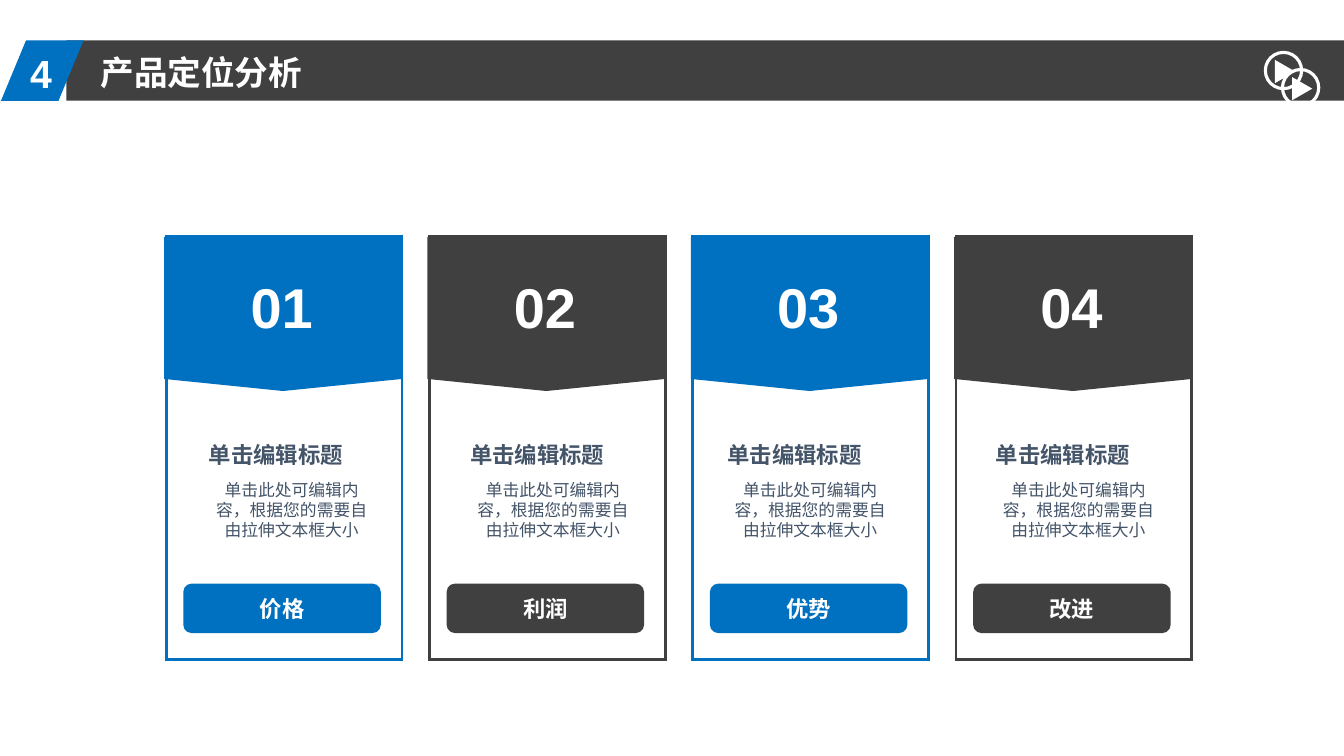
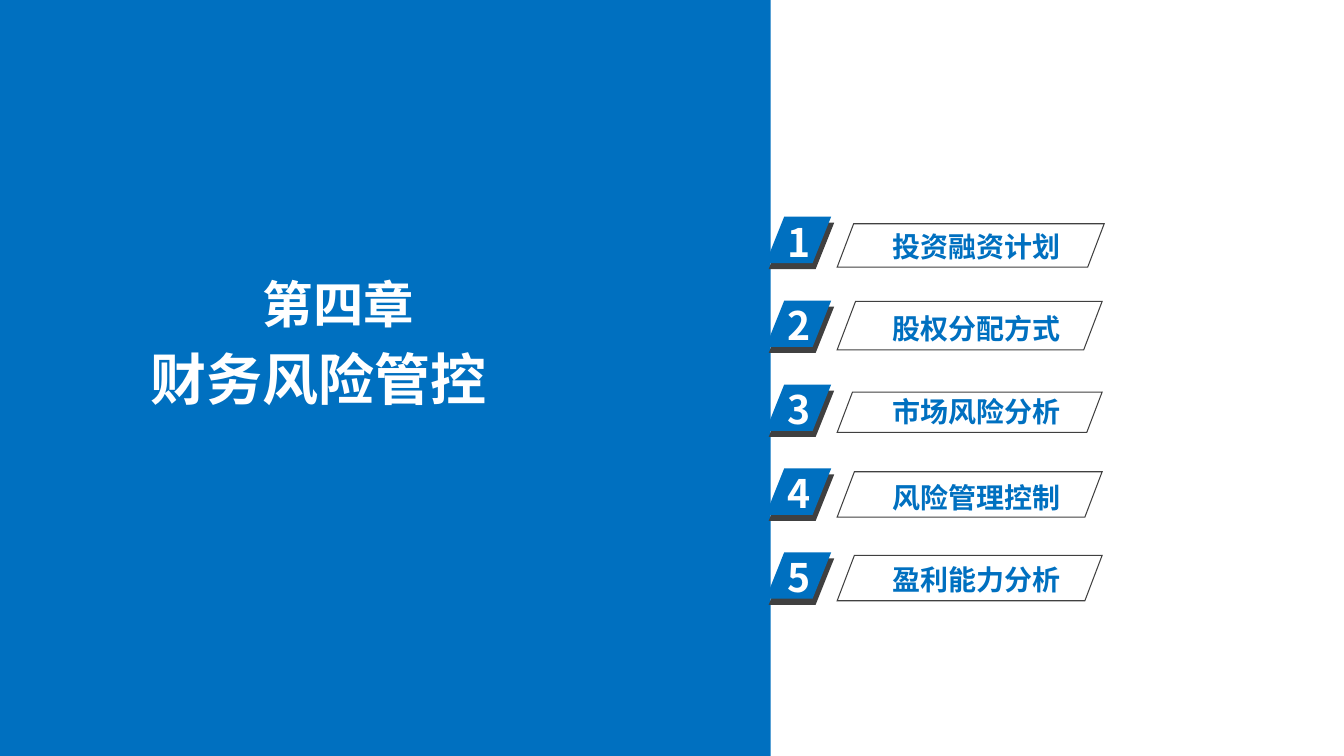
from lxml.etree import SubElement
from pptx import Presentation
from pptx.dml.color import RGBColor
from pptx.enum.shapes import MSO_SHAPE as Preset
from pptx.enum.text import MSO_ANCHOR as Anchor, PP_ALIGN as Align
from pptx.oxml.ns import qn
from pptx.util import Inches, Pt

PAGE_WIDTH, PAGE_HEIGHT = 13.34, 7.5
BLUE, DARK, SLATE, WHITE = "0070C0", "404040", "445469", "FFFFFF"
LATIN, CHINESE = "Arial", "Noto Sans CJK SC"

# number, button, caption offset from the card's left edge
CARDS = [
    ("01", "价格", -0.19),
    ("02", "利润", -0.21),
    ("03", "优势", -0.27),
    ("04", "改进", -0.22),
]
CARD_PITCH = 7.84 / (len(CARDS) - 1)
CARD_TITLE = "单击编辑标题"
CARD_BODY = "单击此处可编辑内容，根据您的需要自由拉伸文本框大小"

# label, its top from the first row, then the frame's top, width and height
AGENDA = [
    ("投资融资计划", 0.07, 0.07, 2.65, 0.43),
    ("股权分配方式", 0.89, 0.84, 2.63, 0.48),
    ("市场风险分析", 1.71, 1.74, 2.63, 0.4),
    ("风险管理控制", 2.56, 2.53, 2.63, 0.45),
    ("盈利能力分析", 3.38, 3.36, 2.63, 0.45),
]
AGENDA_PITCH = 3.33 / (len(AGENDA) - 1)


def color(hex_code):
    return RGBColor.from_string(hex_code)


def paint(shape, fill=None, line=None, line_width=1):
    shape.shadow.inherit = False
    if fill:
        shape.fill.solid()
        shape.fill.fore_color.rgb = color(fill)
    else:
        shape.fill.background()
    if line:
        shape.line.color.rgb = color(line)
        shape.line.width = Pt(line_width)
        SubElement(shape.line._get_or_add_ln(), qn("a:miter"), lim="800000")
    else:
        shape.line.fill.background()
    return shape


def add_preset(page, preset, box, fill=None, line=None, line_width=1, adjust=None):
    shape = page.shapes.add_shape(preset, *map(Inches, box))
    if adjust is not None:
        shape.adjustments[0] = adjust
    return paint(shape, fill, line, line_width)


def write(shape, text, size, hex_code=WHITE, font=CHINESE, bold=True,
          align=Align.LEFT, inset=(0.1, 0.05), spacing=None):
    """Put one paragraph, vertically centred, into a shape or text box."""
    frame = shape.text_frame
    frame.word_wrap = True
    frame.vertical_anchor = Anchor.MIDDLE
    frame.margin_left = frame.margin_right = Inches(inset[0])
    frame.margin_top = frame.margin_bottom = Inches(inset[1])
    para = frame.paragraphs[0]
    para.text = text
    para.alignment = align
    para._p.get_or_add_pPr().set("hangingPunct", "0")
    if spacing:
        para.line_spacing = Pt(spacing)
    para.font.size = Pt(size)
    para.font.bold = bold
    para.font.color.rgb = color(hex_code)
    para.font.name = font
    SubElement(para.font._rPr, qn("a:ea"), typeface=CHINESE)


def add_text(page, box, text, size, **style):
    write(page.shapes.add_textbox(*map(Inches, box)), text, size, **style)


def add_play_icon(page, left, top):
    add_preset(page, Preset.OVAL, (left, top, 0.36, 0.36), line=WHITE, line_width=2.25)
    arrow = add_preset(page, Preset.ISOSCELES_TRIANGLE,
                       (left + 0.08, top + 0.09, 0.23, 0.2), WHITE)
    arrow.rotation = 90


def add_header(page, number, title, top=0.4, height=0.6):
    band_left = 0.66
    add_preset(page, Preset.RECTANGLE,
               (band_left, top, PAGE_WIDTH - band_left, height), DARK)
    add_preset(page, Preset.PARALLELOGRAM, (0.01, top, 0.82, height), BLUE, adjust=0.415)
    add_text(page, (0.2, top + 0.04, 0.69, 0.57), number, 28, font=LATIN)
    add_text(page, (0.9, top + 0.07, 2.74, 0.5), title, 24)
    for step in (0, 0.17):
        add_play_icon(page, 12.56 + step, top + 0.12 + step)


def add_banner(page, left, top, width, fill):
    """Draw the card's head, whose lower edge points down."""
    side, tip = top + 1.41, top + 1.53
    outline = [(left + width, top), (left + width, side), (left + width / 2, tip),
               (left, side), (left, top)]
    first, *rest = [(Inches(x), Inches(y)) for x, y in outline]
    builder = page.shapes.build_freeform(*first)
    builder.add_line_segments(rest, close=True)
    paint(builder.convert_to_shape(), fill)


def add_card(page, left, top, accent, number, button_text, caption_offset):
    centred = {"font": LATIN, "align": Align.CENTER}
    caption = {**centred, "hex_code": SLATE, "inset": (0, 0)}
    caption_left = left + caption_offset
    add_preset(page, Preset.RECTANGLE, (left, top, 2.34, 4.19), WHITE, accent, 2)
    add_banner(page, left - 0.02, top, 2.36, accent)
    button = add_preset(page, Preset.ROUNDED_RECTANGLE,
                        (left + 0.17, top + 3.44, 1.96, 0.49), accent)
    write(button, button_text, 16, **centred)
    add_text(page, (left + 0.49, top + 0.3, 1.31, 0.77), number, 40, **centred)
    add_text(page, (caption_left, top + 2.02, 2.56, 0.27), CARD_TITLE, 16, **caption)
    add_text(page, (caption_left + 0.68, top + 2.41, 1.51, 0.6), CARD_BODY, 12,
             bold=False, spacing=14.4, **caption)


def add_number_tag(page, left, top, number):
    for shift_x, shift_y, fill in ((0.03, 0.06, DARK), (0, 0, BLUE)):
        add_preset(page, Preset.PARALLELOGRAM,
                   (left + shift_x, top + shift_y, 0.65, 0.46), fill, adjust=0.4)
    add_text(page, (left + 0.12, top - 0.04, 0.69, 0.57), number, 28)


def add_agenda(page, left, top):
    for index, (label, label_top, frame_top, width, height) in enumerate(AGENDA):
        add_number_tag(page, left, top + index * AGENDA_PITCH, str(index + 1))
        add_preset(page, Preset.PARALLELOGRAM,
                   (left + 0.71, top + frame_top, width, height),
                   line=DARK, line_width=0.75, adjust=0.38)
        add_text(page, (left + 1.16, top + label_top, 3.03, 0.44), label, 20,
                 hex_code=BLUE)


def build_cards_slide(page):
    add_header(page, "4", "产品定位分析")
    for index, card in enumerate(CARDS):
        accent = DARK if index % 2 else BLUE
        add_card(page, 1.65 + index * CARD_PITCH, 2.35, accent, *card)


def build_chapter_slide(page):
    add_preset(page, Preset.RECTANGLE, (0, 0, 7.65, PAGE_HEIGHT), BLUE)
    add_text(page, (2.51, 2.66, 1.81, 0.7), "第四章", 36)
    add_text(page, (1.4, 3.37, 3.77, 0.77), "财务风险管控", 40)
    add_agenda(page, 7.6, 2.15)


def main():
    deck = Presentation()
    deck.slide_width, deck.slide_height = Inches(PAGE_WIDTH), Inches(PAGE_HEIGHT)
    blank = deck.slide_layouts[6]
    for build in (build_cards_slide, build_chapter_slide):
        build(deck.slides.add_slide(blank))
    deck.save("out.pptx")


if __name__ == "__main__":
    main()
